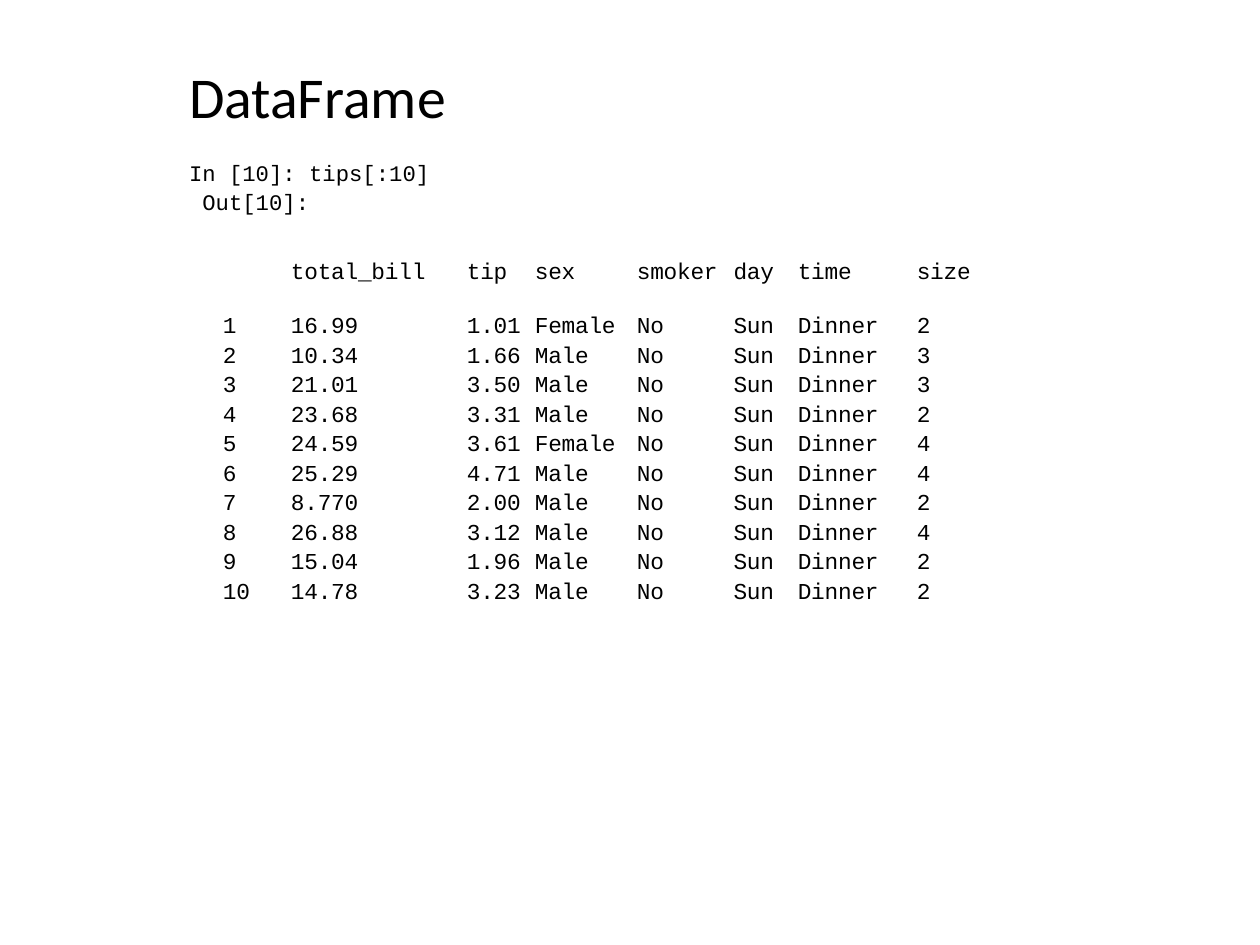
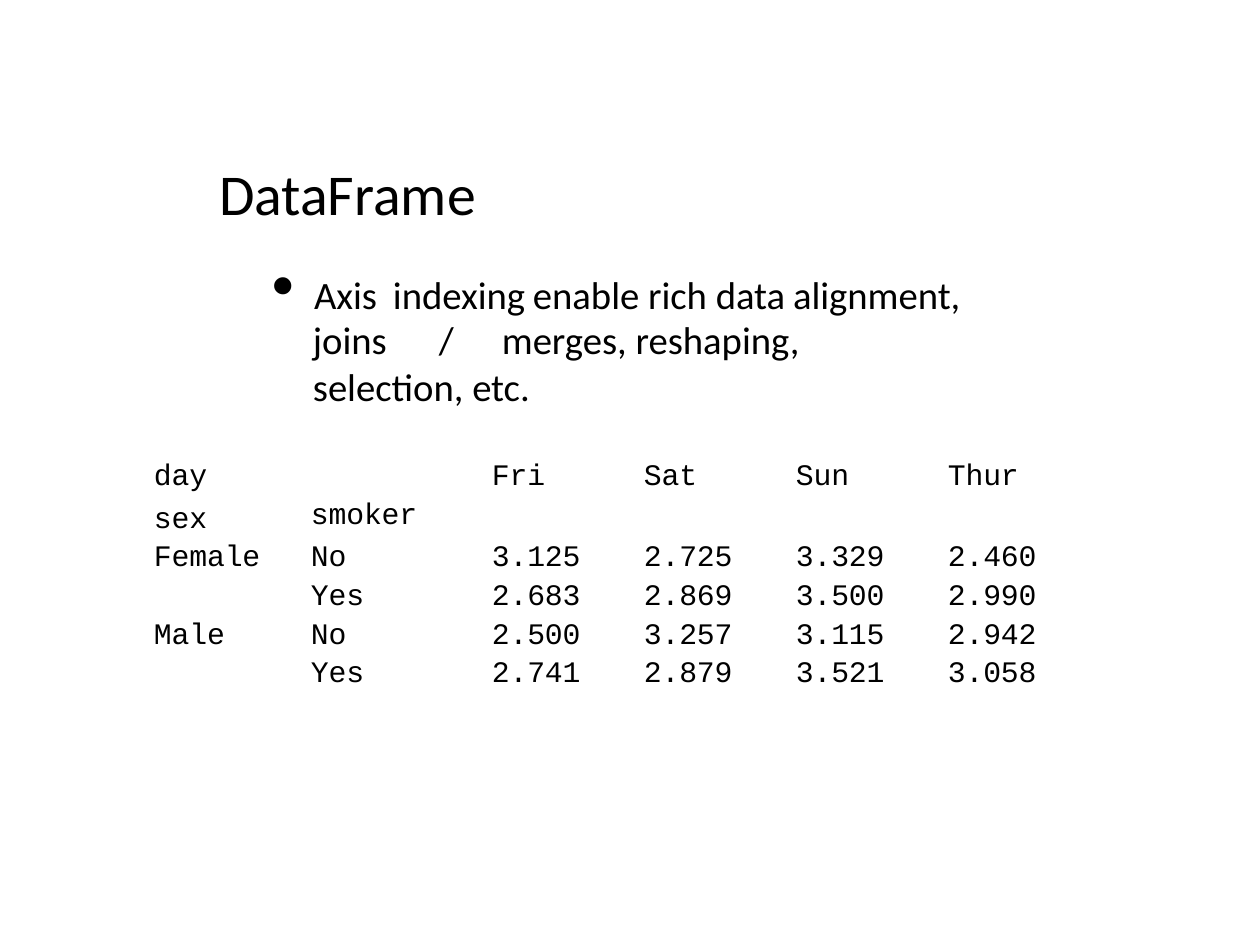
import pptx
import pptx.dml.color
import pptx.enum.text
import pptx.util
import lxml.etree
import pptx.oxml.ns

PX = 914400 // 126
COLORS = {"text": "000000", "back": "FFFFFF"}
SANS, MONO = "Calibri", "Courier New"
TITLE = "DataFrame"
TITLE_SIZE, BODY_SIZE, CODE_SIZE = 33, 22.1, 12.7

# Columns: width, left indent, right-aligned
TIPS_COLUMNS = [(47, 4, False), (176, 25, False), (81, 25, False),
                (102, 12, False), (102, 12, False), (59, 0, True),
                (106, 12, False), (79, 25, False)]
TIPS_HEAD = ["", "total_bill", "tip", "sex", "smoker", "day", "time", "size"]
TIPS = [
    ("16.99", "1.01", "Female", "2"),
    ("10.34", "1.66", "Male", "3"),
    ("21.01", "3.50", "Male", "3"),
    ("23.68", "3.31", "Male", "2"),
    ("24.59", "3.61", "Female", "4"),
    ("25.29", "4.71", "Male", "4"),
    ("8.770", "2.00", "Male", "2"),
    ("26.88", "3.12", "Male", "4"),
    ("15.04", "1.96", "Male", "2"),
    ("14.78", "3.23", "Male", "2"),
]
TIPS_ROWS = [TIPS_HEAD] + [
    [str(i), bill, tip, sex, "No", "Sun", "Dinner", size]
    for i, (bill, tip, sex, size) in enumerate(TIPS, 1)]

PIVOT_COLUMNS = [(145, 4, False), (164, 16, False)] + \
    [(152, 33, False)] * 3 + [(134, 33, False)]
PIVOT_ROWS = [
    ["day\nsex", "smoker", "Fri", "Sat", "Sun", "Thur"],
    ["Female", "No", "3.125", "2.725", "3.329", "2.460"],
    ["", "Yes", "2.683", "2.869", "3.500", "2.990"],
    ["Male", "No", "2.500", "3.257", "3.115", "2.942"],
    ["", "Yes", "2.741", "2.879", "3.521", "3.058"],
]

# Text lines of the second slide: text, box, tab stops, bulleted
POINT_LINES = [
    ("Axis\tindexing\tenable rich data\talignment,",
     (271, 271, 701, 47), (43, 122, 262, 522), True),
    ("joins\t/\tmerges, reshaping, selection, etc.",
     (312, 316, 629, 47), (84, 106), False),
]


def px(n):
    """Turn pixels into EMU."""
    return pptx.util.Emu(round(n * PX))


def style(p, font, size, spacing=0):
    """Format every run of a paragraph."""
    for r in p.runs:
        r.font.name = font
        r.font.size = pptx.util.Pt(size)
        r.font.color.rgb = pptx.dml.color.RGBColor.from_string(COLORS["text"])
        if spacing:
            r.font._element.set("spc", str(spacing))


def add_text(slide, text, box, font, size, anchor="TOP", line_spacing=None):
    """Add a text box without insets and return its paragraph."""
    tf = slide.shapes.add_textbox(*map(px, box)).text_frame
    tf.margin_left = tf.margin_top = tf.margin_right = tf.margin_bottom = 0
    tf.word_wrap = True
    tf.vertical_anchor = pptx.enum.text.MSO_ANCHOR[anchor]
    p = tf.paragraphs[0]
    p.text = text
    p.line_spacing = line_spacing
    style(p, font, size)
    return p


def add_title(slide, left, top):
    """Add the shared slide title."""
    p = add_text(slide, TITLE, (left, top, 764, 71), SANS, TITLE_SIZE, "MIDDLE")
    p._p.get_or_add_pPr().set("marL", str(px(1)))


def set_tabs(p, stops, bulleted):
    """Set indents, an optional bullet and tab stops."""
    pPr = p._p.get_or_add_pPr()
    pPr.set("marL", str(px(43 if bulleted else 1)))
    pPr.set("indent", str(px(-42 if bulleted else 0)))

    def add(parent, tag, **attrs):
        return lxml.etree.SubElement(parent, pptx.oxml.ns.qn(tag), **attrs)

    if bulleted:
        add(pPr, "a:buSzPct", val="170000")
        add(pPr, "a:buChar", char="\u2022")
    tabs = add(pPr, "a:tabLst")
    for stop in stops:
        add(tabs, "a:tab", pos=str(px(stop)), algn="l")


def add_grid(slide, rows, columns, at, heights, size, before, second_gap=0):
    """Add a plain table; heights are those of the head and of all rows."""
    left, top = at
    head, total = heights
    table = slide.shapes.add_table(
        len(rows), len(columns), px(left), px(top),
        px(sum(c[0] for c in columns)), px(total)).table
    table.first_row = table.horz_banding = False
    for column, (width, _, _) in zip(table.columns, columns):
        column.width = px(width)
    for i, values in enumerate(rows):
        table.rows[i].height = px((total - head) / (len(rows) - 1) if i else head)
        for j, (value, (_, indent, right)) in enumerate(zip(values, columns)):
            cell = table.cell(i, j)
            cell.fill.background()
            cell.margin_left = px(indent)
            cell.margin_right = px(12 if right else 0)
            cell.margin_top, cell.margin_bottom = px(1 if i else 0), 0
            cell.text_frame.text = value
            for k, p in enumerate(cell.text_frame.paragraphs):
                if right:
                    p.alignment = pptx.enum.text.PP_ALIGN.RIGHT
                if i or k:
                    p.space_before = pptx.util.Pt(before if i else second_gap)
                style(p, MONO, size, -10)
                if not value:
                    p._p.get_or_add_endParaRPr().set("sz", str(size * 100))
    return table


def new_slide(prs):
    """Add a blank slide with the shared background."""
    slide = prs.slides.add_slide(prs.slide_layouts[6])
    fill = slide.background.fill
    fill.solid()
    fill.fore_color.rgb = pptx.dml.color.RGBColor.from_string(COLORS["back"])
    return slide


def build_tips(prs):
    """Build the slide with the first ten rows."""
    slide = new_slide(prs)
    add_title(slide, 188, 60)
    add_text(slide, "In [10]: tips[:10]\v Out[10]:", (189, 156, 245, 59),
             MONO, CODE_SIZE, line_spacing=1.11)
    add_grid(slide, TIPS_ROWS, TIPS_COLUMNS, (219, 261), (53, 348), 13, 1)


def build_pivot(prs):
    """Build the slide with the mean tips by day."""
    slide = new_slide(prs)
    add_title(slide, 218, 157)
    for text, box, stops, bulleted in POINT_LINES:
        set_tabs(add_text(slide, text, box, SANS, BODY_SIZE), stops, bulleted)
    table = add_grid(slide, PIVOT_ROWS, PIVOT_COLUMNS, (150, 461), (76, 231),
                     17, 1.6, second_gap=4.8)
    table.cell(0, 1).margin_top = px(39)


prs = pptx.Presentation()
prs.slide_width, prs.slide_height = px(1260), px(945)
build_tips(prs)
build_pivot(prs)
prs.save("out.pptx")
